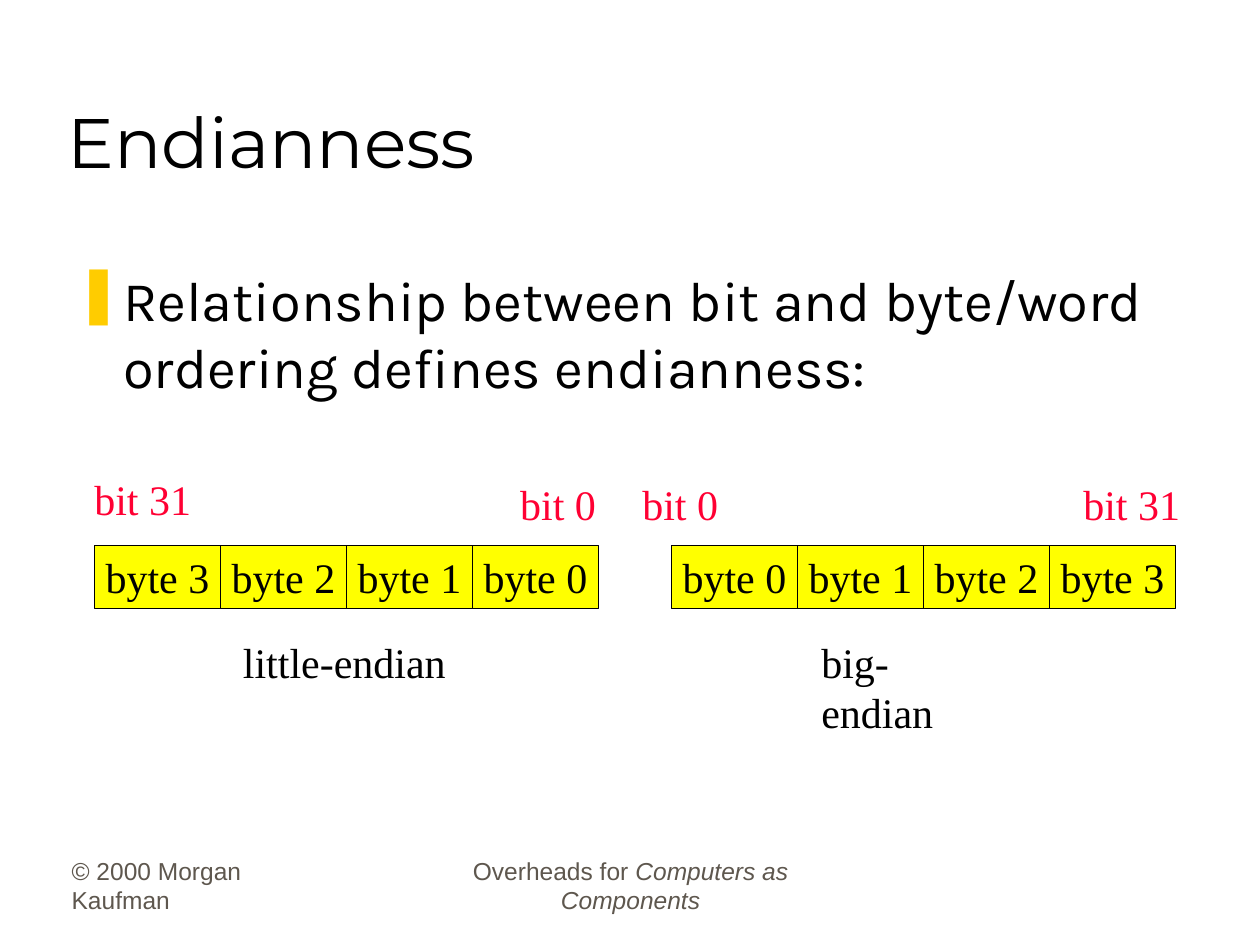
from lxml import etree
from pptx import Presentation
from pptx.dml.color import RGBColor
from pptx.enum import shapes, text
from pptx.oxml import ns
from pptx.util import Inches, Pt

SERIF = {"name": "Times New Roman", "size": Pt(24)}
SMALL = {"name": "Arial", "size": Pt(14)}
BLACK, RED, YELLOW, GOLD, GREY = "000000", "FF0033", "FFFF00", "FFCC00", "5E574E"
TOP, BOTTOM, MIDDLE = (text.MSO_ANCHOR.TOP, text.MSO_ANCHOR.BOTTOM,
                       text.MSO_ANCHOR.MIDDLE)
LEFT, CENTER = text.PP_ALIGN.LEFT, text.PP_ALIGN.CENTER


def paint(code):
    return RGBColor.from_string(code)


class Deck:
    """Holds the presentation, the current slide and the element styles."""

    def __init__(self, wide, high):
        self.prs = Presentation()
        self.prs.slide_width, self.prs.slide_height = Inches(wide), Inches(high)
        self.slide = self.prs.slides.add_slide(self.prs.slide_layouts[6])

    def letter(self, shape, runs, font, color, align=LEFT, anchor=TOP, wrap=False):
        """Fill a shape with one paragraph of (words, italic) runs."""
        frame = shape.text_frame
        frame.word_wrap, frame.vertical_anchor = wrap, anchor
        para = frame.paragraphs[0]
        para.alignment = align
        for words, slant in runs:
            run = para.add_run()
            run.text = words
            for key, value in {**font, "italic": slant}.items():
                setattr(run.font, key, value)
            run.font.color.rgb = paint(color)
        return para

    def label(self, box, runs, font=SERIF, color=BLACK, **how):
        if isinstance(runs, str):
            runs = [(runs, False)]
        shape = self.slide.shapes.add_textbox(*map(Inches, box))
        return self.letter(shape, runs, font, color, **how)

    def bullet(self, box, words, font):
        para = self.label(box, words, font, wrap=True)
        props = para._p.get_or_add_pPr()
        props.set("marL", str(Inches(0.38)))
        props.set("indent", str(-Inches(0.38)))
        tint = etree.SubElement(props, ns.qn("a:buClr"))
        etree.SubElement(tint, ns.qn("a:srgbClr"), val=GOLD)
        etree.SubElement(props, ns.qn("a:buChar"), char="❚")

    def cell(self, box, words):
        shape = self.slide.shapes.add_shape(
            shapes.MSO_SHAPE.RECTANGLE, *map(Inches, box))
        shape.shadow.inherit = False
        shape.fill.solid()
        shape.fill.fore_color.rgb = paint(YELLOW)
        shape.line.color.rgb = paint(BLACK)
        shape.line.width = Pt(1)
        self.letter(shape, [(words, False)], SERIF, BLACK, CENTER, MIDDLE)

    def word(self, left, order):
        """Draw four adjoining byte cells in the given order."""
        for col, num in enumerate(order):
            self.cell((left + col, 4.33, 1, 0.5), f"byte {num}")


def main():
    deck = Deck(10, 7.5)
    deck.label((0.47, 6.81, 2.08, 0.5), "© 2000 Morgan Kaufman", SMALL, GREY,
               anchor=BOTTOM, wrap=True)
    deck.label((3.42, 6.81, 3.17, 0.5),
               [("Overheads for ", False), ("Computers as Components", True)],
               SMALL, GREY, align=CENTER, anchor=BOTTOM, wrap=True)
    deck.label((0.44, 0.25, 8.5, 1.25), "Endianness",
               {"name": "Montserrat", "size": Pt(40)}, anchor=BOTTOM, wrap=True)
    deck.bullet((0.5, 2.06, 8.94, 1.27),
                "Relationship between bit and byte/word ordering defines endianness:",
                {"name": "Karla", "size": Pt(32)})

    deck.word(0.75, (3, 2, 1, 0))
    deck.word(5.33, (0, 1, 2, 3))

    for left, top, wide, words, color in (
        (0.65, 3.71, 0.97, "bit 31", RED),
        (4.03, 3.75, 0.8, "bit 0", RED),
        (5, 3.75, 0.8, "bit 0", RED),
        (8.5, 3.75, 0.97, "bit 31", RED),
        (1.83, 5, 1.81, "little-endian", BLACK),
        (6.42, 5, 1.62, "big-endian", BLACK),
    ):
        deck.label((left, top, wide, 0.5), words, color=color)

    deck.prs.save("out.pptx")


if __name__ == "__main__":
    main()
